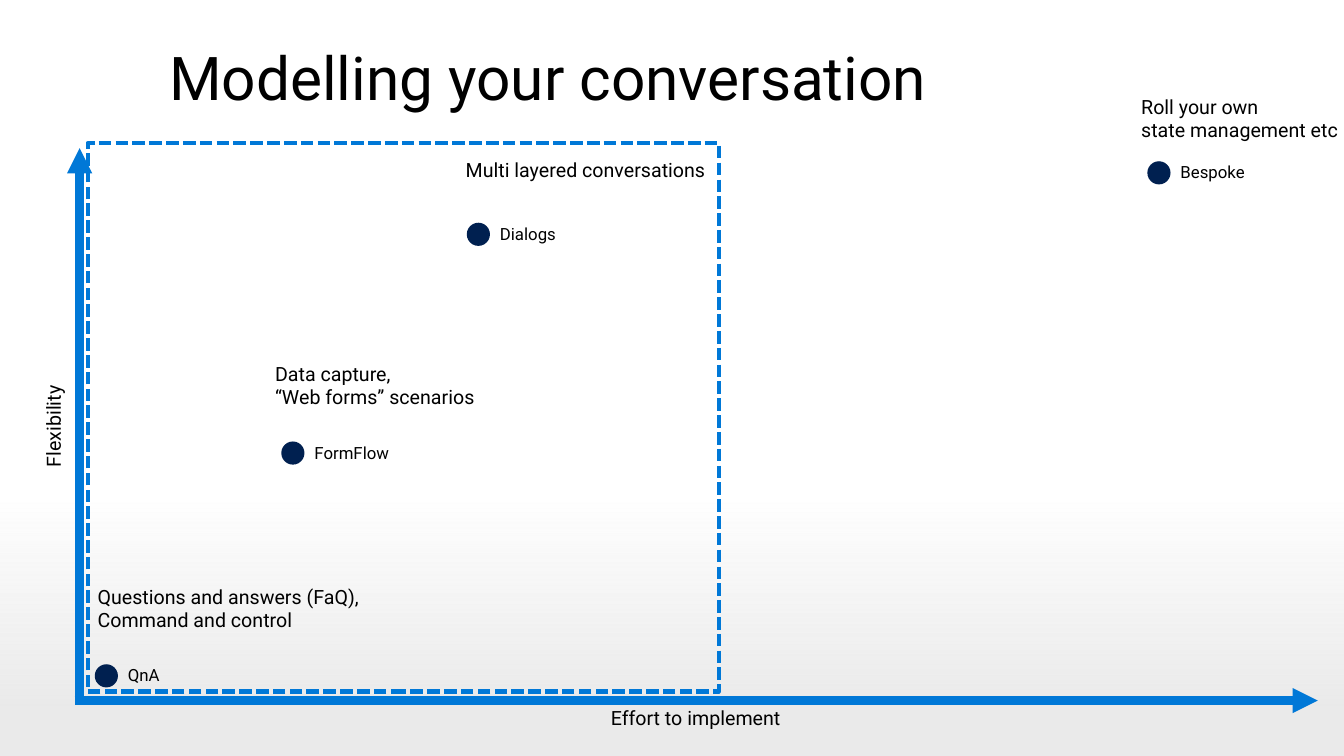
"""Build a slide plotting conversation models by flexibility and effort."""
import dataclasses

import pptx
import pptx.dml.color
import pptx.enum.dml
import pptx.enum.shapes
import pptx.enum.text
import pptx.oxml
import pptx.oxml.ns
import pptx.util

Inches = pptx.util.Inches
Pt = pptx.util.Pt
RGBColor = pptx.dml.color.RGBColor
Align = pptx.enum.text.PP_ALIGN
Shape = pptx.enum.shapes.MSO_SHAPE


@dataclasses.dataclass(frozen=True)
class Theme:
    font: str = "Roboto"
    text: RGBColor = RGBColor(0x00, 0x00, 0x00)
    accent: RGBColor = RGBColor(0x00, 0x78, 0xD7)
    dot: RGBColor = RGBColor(0x00, 0x20, 0x50)
    haze: RGBColor = RGBColor(0xEA, 0xEA, 0xEA)
    title_size: float = 43.1
    note_size: float = 14
    label_size: float = 12


theme = Theme()


def write_text(shape, text, size=theme.note_size, align=Align.LEFT,
               anchor=pptx.enum.text.MSO_ANCHOR.TOP, spacing=1.0):
    frame = shape.text_frame
    frame.word_wrap = True
    frame.vertical_anchor = anchor
    frame.text = text
    for paragraph in frame.paragraphs:
        paragraph.alignment = align
        paragraph.line_spacing = spacing
        paragraph.font.name = theme.font
        paragraph.font.size = Pt(size)
        paragraph.font.color.rgb = theme.text


presentation = pptx.Presentation()
presentation.slide_width = Inches(13.33)
presentation.slide_height = Inches(7.5)
slide = presentation.slides.add_slide(presentation.slide_layouts[5])
shapes = slide.shapes

haze = shapes.add_shape(Shape.RECTANGLE, Inches(0), Inches(4.35), Inches(13.37), Inches(3.29))
haze.shadow.inherit = False
haze.line.fill.background()
haze.fill.gradient()
haze.fill.gradient_angle = 90
for stop, position in zip(haze.fill.gradient_stops, (0.18, 0.82)):
    stop.position = position
    stop.color.rgb = theme.haze
colors = list(haze.element.spPr.iter(pptx.oxml.ns.qn("a:srgbClr")))
pptx.oxml.xmlchemy.OxmlElement("a:alpha")
alpha = colors[-1].makeelement(pptx.oxml.ns.qn("a:alpha"), {"val": "0"})
colors[-1].append(alpha)

title = shapes.title
title.left, title.top = Inches(1.58), Inches(0.31)
title.width, title.height = Inches(11.75), Inches(0.98)
write_text(title, "Modelling your conversation", size=theme.title_size,
           anchor=pptx.enum.text.MSO_ANCHOR.MIDDLE, spacing=0.9)

axes = [
    ((0.79, 6.99), (0.79, 1.47), "Flexibility", (-2.23, 4.06, 5.52), 270),
    ((0.74, 6.95), (13.07, 6.95), "Effort to implement", (0.74, 6.95, 12.32), 0),
]
for start, end, name, (left, top, width), rotation in axes:
    axis = shapes.add_connector(pptx.enum.shapes.MSO_CONNECTOR.STRAIGHT,
                                *map(Inches, start + end))
    axis.line.color.rgb = theme.accent
    axis.line.width = Pt(6)
    line = axis.line._get_or_add_ln()
    line.append(line.makeelement(pptx.oxml.ns.qn("a:tailEnd"), {"type": "triangle"}))
    properties = axis.element.spPr
    properties.append(properties.makeelement(pptx.oxml.ns.qn("a:effectLst"), {}))
    axis_label = shapes.add_textbox(Inches(left), Inches(top), Inches(width), Inches(0.34))
    axis_label.rotation = rotation
    write_text(axis_label, name, align=Align.CENTER)

dot_size = 0.23
models = [
    ("Dialogs", (4.63, 2.21), "Multi layered conversations", (4.52, 1.52)),
    ("FormFlow", (2.79, 4.38), "Data capture,\n“Web forms” scenarios", (2.63, 3.54)),
    ("QnA", (0.94, 6.59), "Questions and answers (FaQ),\nCommand and control", (0.87, 5.75)),
    ("Bespoke", (11.38, 1.6), "Roll your own\nstate management etc", (11.22, 0.89)),
]
for name, (left, top), description, (note_left, note_top) in models:
    group = shapes.add_group_shape()
    dot = group.shapes.add_shape(Shape.OVAL, Inches(left), Inches(top),
                                 Inches(dot_size), Inches(dot_size))
    dot.shadow.inherit = False
    dot.fill.solid()
    dot.fill.fore_color.rgb = theme.dot
    dot.line.fill.background()
    label = group.shapes.add_textbox(Inches(left + dot_size), Inches(top - 0.04),
                                     Inches(1.45), Inches(0.3))
    write_text(label, name, size=theme.label_size)
    note_height = 0.34 + 0.23 * description.count("\n")
    note = shapes.add_textbox(Inches(note_left), Inches(note_top),
                              Inches(3.14), Inches(note_height))
    write_text(note, description)

scope = shapes.add_shape(Shape.RECTANGLE, Inches(0.87), Inches(1.42), Inches(6.26), Inches(5.44))
scope.shadow.inherit = False
scope.fill.background()
scope.line.color.rgb = theme.accent
scope.line.width = Pt(3)
scope.line.dash_style = pptx.enum.dml.MSO_LINE.SQUARE_DOT
scope.line._get_or_add_ln().find(pptx.oxml.ns.qn("a:prstDash")).set("val", "sysDash")

presentation.save("out.pptx")
